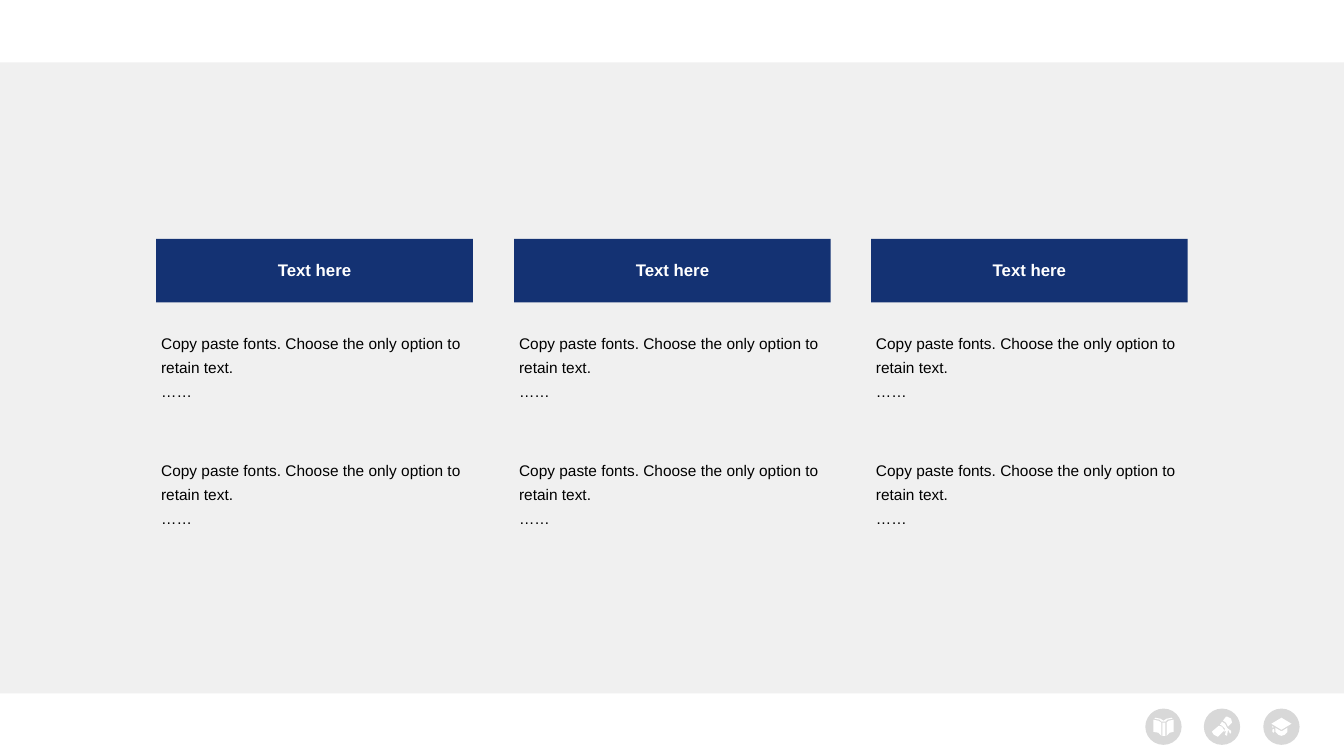
"""Build a slide with three headed text columns and a footer of study icons."""
from dataclasses import dataclass

from pptx import Presentation
from pptx.dml.color import RGBColor
from pptx.enum.shapes import MSO_SHAPE
from pptx.enum.text import MSO_ANCHOR, PP_ALIGN
from pptx.util import Inches, Pt

RECTANGLE, OVAL = MSO_SHAPE.RECTANGLE, MSO_SHAPE.OVAL
MIDDLE, TOP = MSO_ANCHOR.MIDDLE, MSO_ANCHOR.TOP
CENTER, LEFT = PP_ALIGN.CENTER, PP_ALIGN.LEFT


@dataclass(frozen=True)
class Theme:
    font: str = "Arial"
    panel: RGBColor = RGBColor(0xF0, 0xF0, 0xF0)
    badge: RGBColor = RGBColor(0xD8, 0xD8, 0xD8)
    navy: RGBColor = RGBColor(0x14, 0x32, 0x73)
    white: RGBColor = RGBColor(0xFF, 0xFF, 0xFF)
    black: RGBColor = RGBColor(0x00, 0x00, 0x00)
    heading_size: Pt = Pt(12)
    body_size: Pt = Pt(11)


theme = Theme()


def paint(shape, color):
    """Give a shape a plain fill without line or shadow."""
    shape.shadow.inherit = False
    shape.fill.solid()
    shape.fill.fore_color.rgb = color
    shape.line.fill.background()


def write(shape, lines, size, color, bold, align, anchor, spacing):
    """Fill a shape with evenly styled paragraphs."""
    frame = shape.text_frame
    frame.word_wrap = True
    frame.vertical_anchor = anchor
    frame.text = "\n".join(lines)
    for paragraph in frame.paragraphs:
        paragraph.alignment = align
        paragraph.line_spacing = spacing
        paragraph.font.name = theme.font
        paragraph.font.size = size
        paragraph.font.bold = bold
        paragraph.font.color.rgb = color


presentation = Presentation()
presentation.slide_width = Inches(13.33)
presentation.slide_height = Inches(7.5)
slide = presentation.slides.add_slide(presentation.slide_layouts[6])
shapes = slide.shapes

panel = shapes.add_shape(RECTANGLE, 0, Inches(0.62), Inches(13.33), Inches(6.26))
paint(panel, theme.panel)

# Outline points are hundredths of an inch from the corner of the badge.
book = [
    [(8, 11), (13, 12), (16, 14), (16, 27), (13, 24), (8, 23)],
    [(17, 14), (20, 14), (20, 27), (17, 27)],
    [(28, 11), (28, 23), (24, 24), (21, 27), (21, 14), (23, 12)],
    [(10, 9), (15, 10), (18, 12), (21, 10), (26, 9), (27, 10),
     (22, 11), (20, 13), (16, 13), (14, 11), (9, 10)],
]
diploma = [
    [(15, 17), (18, 18), (20, 21), (20, 22), (14, 28), (10, 26), (8, 23), (9, 22)],
    [(18, 13), (21, 15), (23, 19), (24, 20), (27, 22), (27, 24), (26, 25),
     (24, 21), (23, 27), (21, 26), (22, 22), (20, 23), (21, 20), (18, 17), (16, 16)],
    [(23, 8), (27, 10), (28, 14), (24, 18), (22, 14), (19, 12), (22, 8)],
]
graduation_cap = [
    [(18, 9), (28, 15), (18, 21), (8, 15)],
    [(12, 19), (17, 22), (19, 22), (24, 19), (24, 23), (21, 26),
     (18, 27), (15, 26), (12, 23)],
    [(9, 17), (10, 18), (10, 19), (9, 19)],
    [(10, 20), (11, 21), (11, 23), (10, 24), (9, 23), (9, 21)],
]
badge_top, badge_size = Inches(7.03), Inches(0.36)
for left, outlines in ((11.36, book), (11.94, diploma), (12.53, graduation_cap)):
    badge = shapes.add_shape(OVAL, Inches(left), badge_top, badge_size, badge_size)
    paint(badge, theme.badge)
    builder = shapes.build_freeform(*outlines[0][0], scale=Inches(0.01))
    for outline in outlines:
        builder.move_to(*outline[0])
        builder.add_line_segments(outline[1:], close=True)
    paint(builder.convert_to_shape(Inches(left), badge_top), theme.white)

body_lines = ["Copy paste fonts. Choose the only option to retain text.", "……"]
for left in (1.55, 5.1, 8.64):
    heading = shapes.add_shape(
        RECTANGLE, Inches(left), Inches(2.37), Inches(3.14), Inches(0.63))
    paint(heading, theme.navy)
    write(heading, ["Text here"], theme.heading_size, theme.white, True,
          CENTER, MIDDLE, 0.9)
    for top in (3.21, 4.47):
        body = shapes.add_textbox(
            Inches(left - 0.05), Inches(top), Inches(3.23), Inches(0.93))
        write(body, body_lines, theme.body_size, theme.black, False,
              LEFT, TOP, 1.3)

presentation.save("out.pptx")
